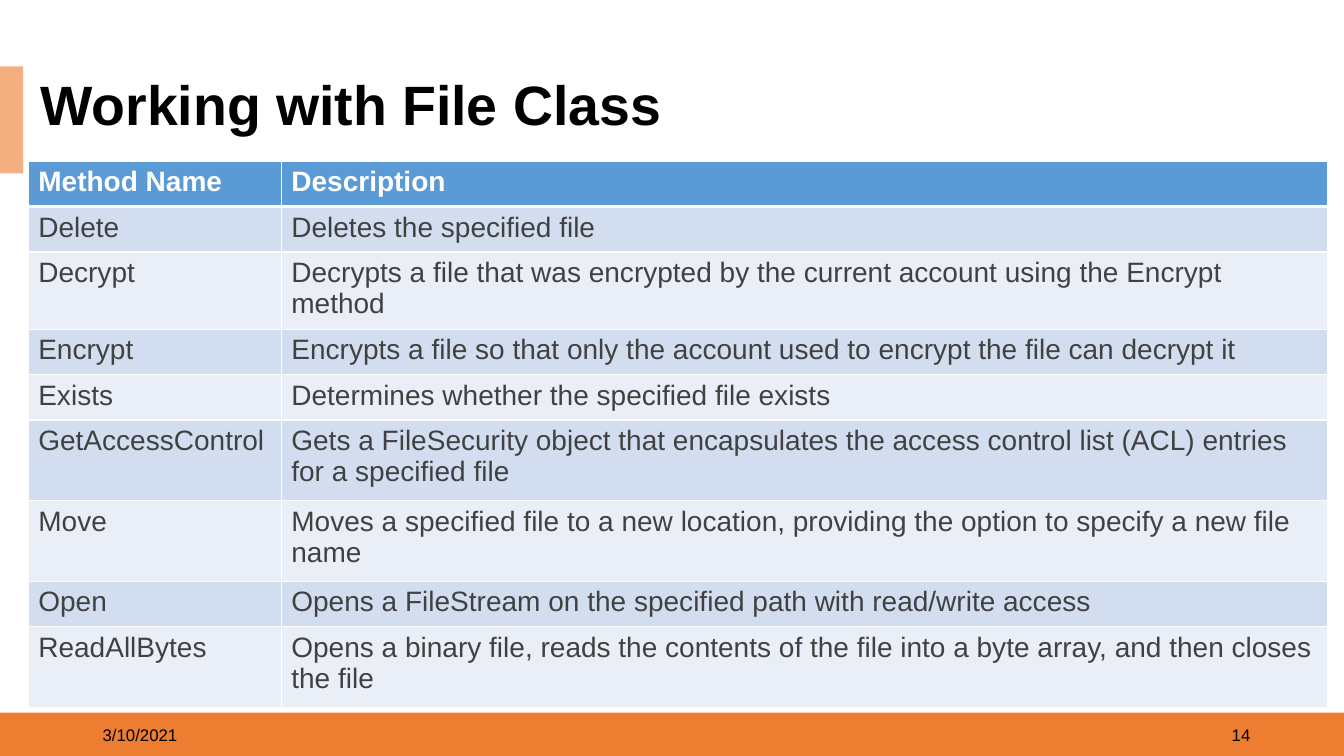
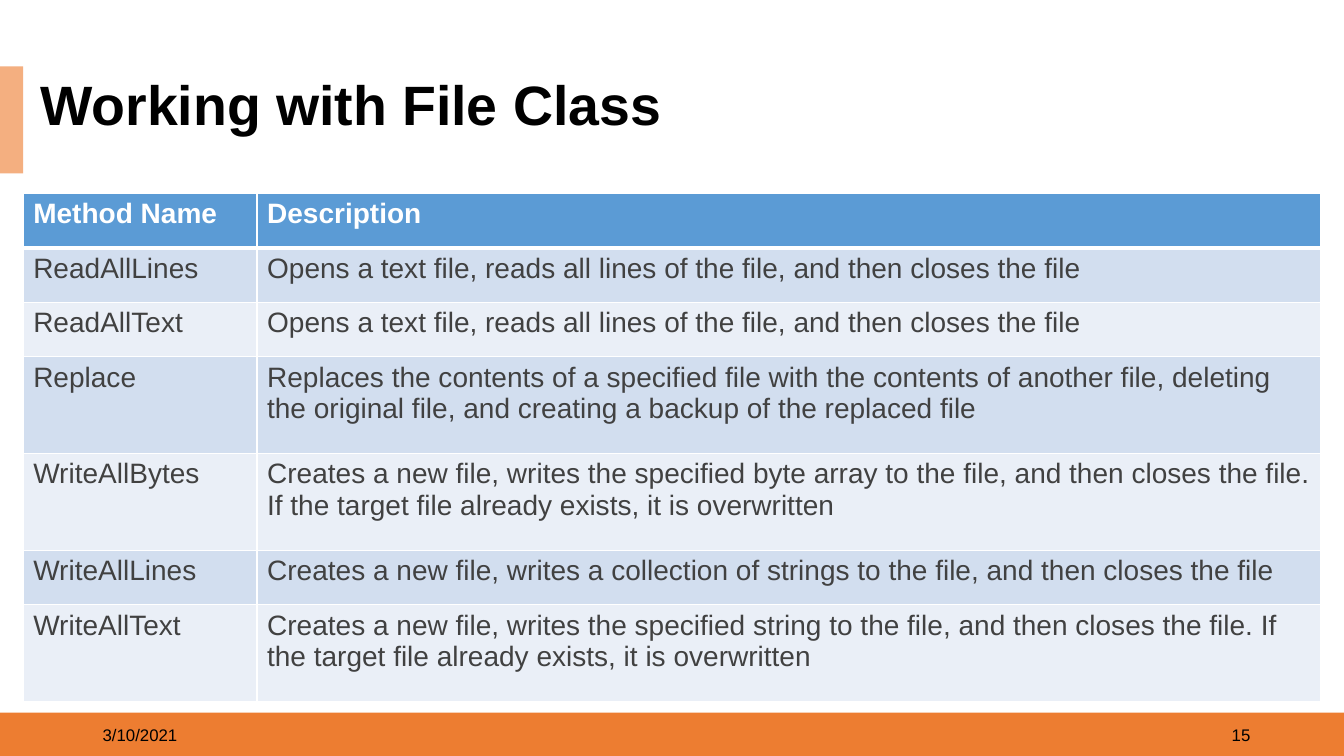
from dataclasses import dataclass

from lxml import etree
from pptx import Presentation
from pptx.dml.color import RGBColor
from pptx.enum import shapes, text
from pptx.oxml import ns
from pptx.util import Inches, Pt

FONT = "Arial"
BLACK, WHITE, BODY_GREY = "000000", "FFFFFF", "414141"
FOOTER_ORANGE, ACCENT_ORANGE = "ED7D31", "F4AF80"
HEADER_BLUE, BAND_BLUE, BAND_PALE = "5B9BD5", "D2DEEF", "EAEFF7"
SLIDE_WIDTH, SLIDE_HEIGHT = 13.33, 7.5
TITLE = "Working with File Class"
DATE = "3/10/2021"
HEADINGS = ("Method Name", "Description")


@dataclass(frozen=True)
class Method:
    name: str
    description: str
    height: float


@dataclass(frozen=True)
class MethodSlide:
    number: int
    left: float
    top: float
    columns: tuple[float, float]
    header_height: float
    methods: tuple[Method, ...]


FIRST_SHORT, FIRST_TALL = 0.45, 0.8
SECOND_SHORT, SECOND_TALL = 0.54, 0.96

SLIDES = (
    MethodSlide(14, 0.28, 1.6, (2.51, 10.38), FIRST_SHORT, (
        Method("Delete", "Deletes the specified file", FIRST_SHORT),
        Method("Decrypt", "Decrypts a file that was encrypted by the current account "
               "using the Encrypt method", 0.73),
        Method("Encrypt", "Encrypts a file so that only the account used to encrypt "
               "the file can decrypt it", FIRST_SHORT),
        Method("Exists", "Determines whether the specified file exists", FIRST_SHORT),
        Method("GetAccessControl", "Gets a FileSecurity object that encapsulates the access "
               "control list (ACL) entries for a specified file", FIRST_TALL),
        Method("Move", "Moves a specified file to a new location, providing the option "
               "to specify a new file name", FIRST_TALL),
        Method("Open", "Opens a FileStream on the specified path with read/write access",
               FIRST_SHORT),
        Method("ReadAllBytes", "Opens a binary file, reads the contents of the file into "
               "a byte array, and then closes the file", FIRST_TALL),
    )),
    MethodSlide(15, 0.23, 1.92, (2.32, 10.55), SECOND_SHORT, (
        Method("ReadAllLines", "Opens a text file, reads all lines of the file, "
               "and then closes the file", SECOND_SHORT),
        Method("ReadAllText", "Opens a text file, reads all lines of the file, "
               "and then closes the file", SECOND_SHORT),
        Method("Replace", "Replaces the contents of a specified file with the contents of "
               "another file, deleting the original file, and creating a backup of the "
               "replaced file", SECOND_TALL),
        Method("WriteAllBytes", "Creates a new file, writes the specified byte array to the "
               "file, and then closes the file. If the target file already exists, it is "
               "overwritten", SECOND_TALL),
        Method("WriteAllLines", "Creates a new file, writes a collection of strings to the "
               "file, and then closes the file", SECOND_SHORT),
        Method("WriteAllText", "Creates a new file, writes the specified string to the "
               "file, and then closes the file. If the target file already exists, it is "
               "overwritten", SECOND_TALL),
    )),
)


def color(value: str) -> RGBColor:
    return RGBColor.from_string(value)


def paint(target, value: str) -> None:
    target.fill.solid()
    target.fill.fore_color.rgb = color(value)


def style(paragraph, size: float, value: str, bold: bool = False) -> None:
    font = paragraph.font
    font.name, font.size, font.bold = FONT, Pt(size), bold
    font.color.rgb = color(value)


def add_band(slide, left: float, top: float, width: float, height: float, value: str) -> None:
    band = slide.shapes.add_shape(shapes.MSO_SHAPE.RECTANGLE, Inches(left), Inches(top),
                                  Inches(width), Inches(height))
    band.shadow.inherit = False
    paint(band, value)
    band.line.fill.background()


def add_footer_text(slide, left: float, words: str, align: text.PP_ALIGN) -> None:
    box = slide.shapes.add_textbox(Inches(left), Inches(7.09), Inches(3), Inches(0.4))
    frame = box.text_frame
    frame.word_wrap = True
    frame.vertical_anchor = text.MSO_ANCHOR.MIDDLE
    frame.text = words
    paragraph = frame.paragraphs[0]
    paragraph.alignment = align
    style(paragraph, 12, BLACK)


def format_title(slide) -> None:
    title = slide.shapes.title
    title.left, title.top = Inches(0.3), Inches(0.75)
    title.width, title.height = Inches(9.72), Inches(0.63)
    paint(title, WHITE)
    frame = title.text_frame
    frame.text = TITLE
    frame.word_wrap = True
    frame.auto_size = text.MSO_AUTO_SIZE.NONE
    frame.vertical_anchor = text.MSO_ANCHOR.MIDDLE
    paragraph = frame.paragraphs[0]
    paragraph.alignment = text.PP_ALIGN.LEFT
    paragraph.line_spacing = 0.9
    style(paragraph, 39.6, BLACK, bold=True)


def set_borders(cell, top: float, bottom: float) -> None:
    properties = cell._tc.get_or_add_tcPr()
    for side, width in (("L", 1), ("R", 1), ("T", top), ("B", bottom)):
        line = etree.SubElement(properties, ns.qn(f"a:ln{side}"), w=str(Pt(width)))
        fill = etree.SubElement(line, ns.qn("a:solidFill"))
        etree.SubElement(fill, ns.qn("a:srgbClr"), val=WHITE)


def add_method_table(slide, content: MethodSlide) -> None:
    rows = [(*HEADINGS, content.header_height)]
    rows += [(m.name, m.description, m.height) for m in content.methods]
    table = slide.shapes.add_table(
        len(rows), len(HEADINGS), Inches(content.left), Inches(content.top),
        Inches(sum(content.columns)), Inches(sum(row[-1] for row in rows))).table
    for column, width in zip(table.columns, content.columns):
        column.width = Inches(width)
    for index, (*words, height) in enumerate(rows):
        table.rows[index].height = Inches(height)
        header = index == 0
        background = HEADER_BLUE if header else BAND_BLUE if index % 2 else BAND_PALE
        for cell, label in zip(table.rows[index].cells, words):
            cell.text = label
            style(cell.text_frame.paragraphs[0], 20, WHITE if header else BODY_GREY, header)
            # A thick rule separates the header from the methods
            set_borders(cell, top=3 if index == 1 else 1, bottom=3 if header else 1)
            paint(cell, background)


def add_method_slide(deck, content: MethodSlide) -> None:
    slide = deck.slides.add_slide(deck.slide_layouts[5])
    # Shared frame: footer band, title accent, date and number
    add_band(slide, 0, 7.07, SLIDE_WIDTH, 0.44, FOOTER_ORANGE)
    add_band(slide, 0, 0.66, 0.23, 1.06, ACCENT_ORANGE)
    add_footer_text(slide, 0.92, DATE, text.PP_ALIGN.LEFT)
    add_footer_text(slide, 9.5, str(content.number), text.PP_ALIGN.RIGHT)
    # Slide content
    format_title(slide)
    add_method_table(slide, content)


def main() -> None:
    deck = Presentation()
    deck.slide_width, deck.slide_height = Inches(SLIDE_WIDTH), Inches(SLIDE_HEIGHT)
    for content in SLIDES:
        add_method_slide(deck, content)
    deck.save("out.pptx")


if __name__ == "__main__":
    main()
